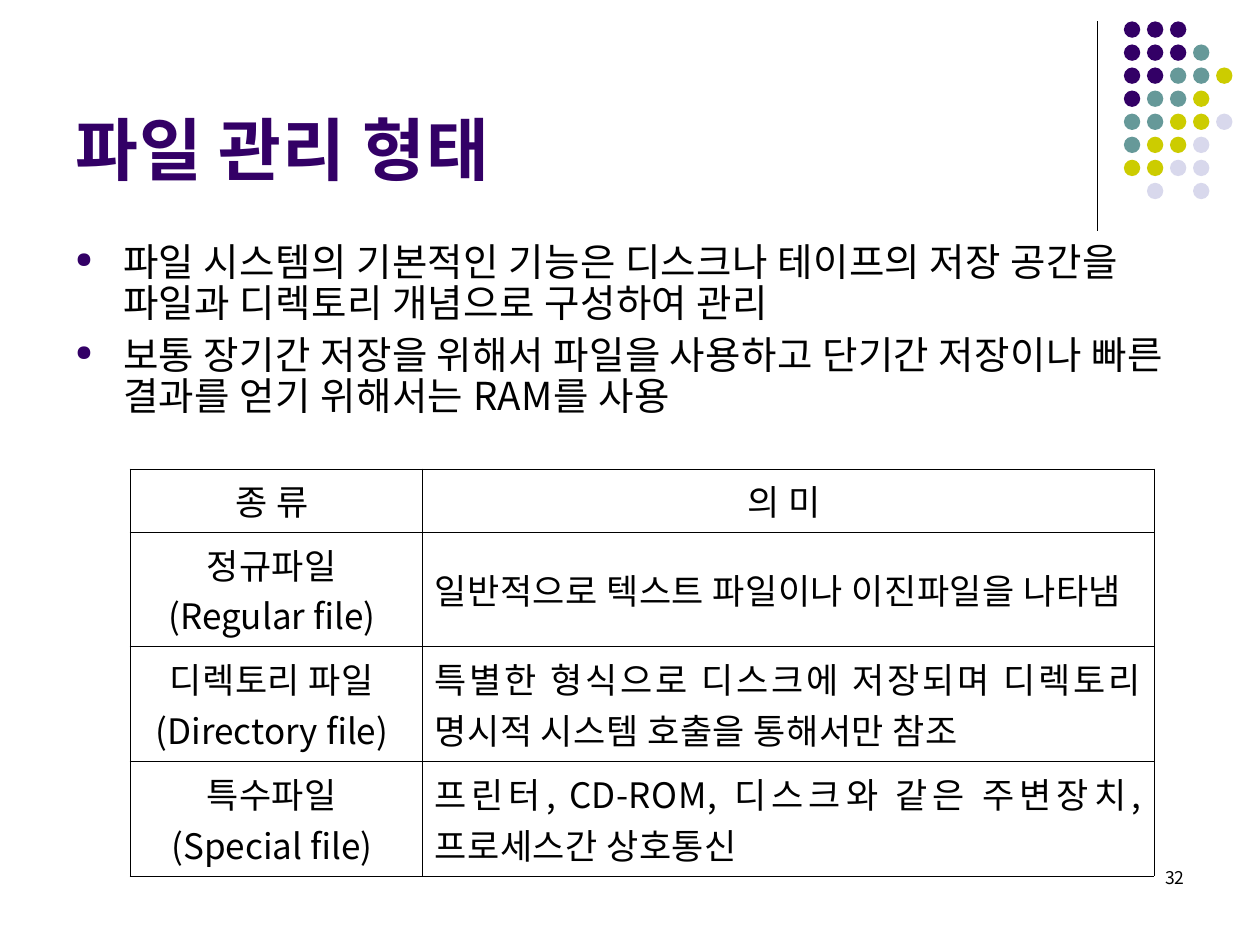
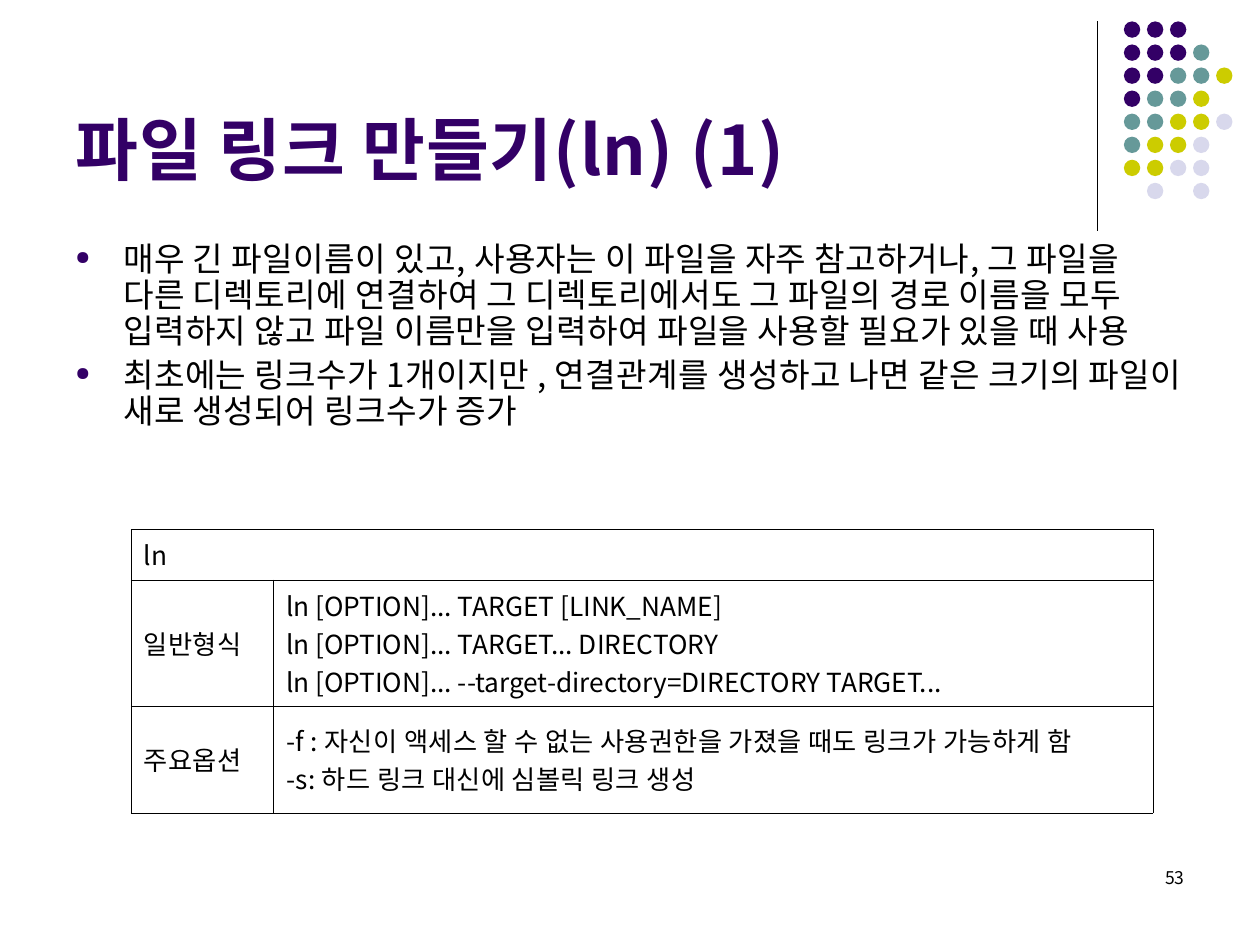
from dataclasses import dataclass

from lxml import etree
from pptx import Presentation
from pptx.dml.color import RGBColor
from pptx.enum.shapes import MSO_CONNECTOR, MSO_SHAPE
from pptx.enum.text import MSO_ANCHOR, PP_ALIGN
from pptx.oxml.ns import qn
from pptx.util import Inches, Pt

LEFT, CENTER, RIGHT, JUSTIFY = PP_ALIGN.LEFT, PP_ALIGN.CENTER, PP_ALIGN.RIGHT, PP_ALIGN.JUSTIFY
TOP, MIDDLE, BOTTOM = MSO_ANCHOR.TOP, MSO_ANCHOR.MIDDLE, MSO_ANCHOR.BOTTOM


@dataclass(frozen=True)
class Theme:
    font: str = "Noto Sans CJK KR"
    bullet_font: str = "OpenSymbol"
    purple: str = "330066"
    teal: str = "669999"
    lime: str = "CCCC00"
    lavender: str = "D8D8EC"
    text: str = "000000"
    title_size: float = 39
    number_size: float = 10
    bullet_percent: int = 57
    body_line_spacing: float = 0.9
    hangul_tracking: float = 1.3  # hundredths of a point per point of type size
    rule_width: float = 0.75
    border_width: float = 0.1


THEME = Theme()

# One letter per dot: purple, teal, lime (y), lavender; a dot mark leaves the place empty.
DOT_ROWS = ["ppp", "pppt", "pptty", "ptty", "ttyyl", "tyyl", "yyll", ".l.l"]
DOT_COLORS = {"p": THEME.purple, "t": THEME.teal, "y": THEME.lime, "l": THEME.lavender}
DOT_LEFT, DOT_TOP, DOT_SIZE, DOT_PITCH = 8.92, 0.17, 0.13, 0.183

SLIDES = [
    {
        "title": "파일 관리 형태",
        "number": "32",
        "body_size": 22,
        "space_before": 5.5,
        "bullets": [
            "파일 시스템의 기본적인 기능은 디스크나 테이프의 저장 공간을 파일과 디렉토리 개념으로 구성하여 관리",
            "보통 장기간 저장을 위해서 파일을 사용하고 단기간 저장이나 빠른 결과를 얻기 위해서는 RAM를 사용",
        ],
        "table": {
            "position": (1.03, 3.72),
            "columns": [2.32, 5.81],
            "row_heights": [0.5, 0.91, 0.91, 0.91],
            "size": 20,
            "header_align": CENTER,
            "column_aligns": [CENTER, JUSTIFY],
            "rows": [
                ("종 류 ", "의 미 "),
                ("정규파일 \n(Regular file) ", "일반적으로 텍스트 파일이나 이진파일을 나타냄 "),
                ("디렉토리 파일 \n(Directory file) ",
                 "특별한 형식으로 디스크에 저장되며 디렉토리 명시적 시스템 호출을 통해서만 참조 "),
                ("특수파일 \n(Special file) ",
                 "프린터, CD-ROM, 디스크와 같은 주변장치, 프로세스간 상호통신 "),
            ],
        },
    },
    {
        "title": "파일 링크 만들기(ln) (1)",
        "number": "53",
        "body_size": 19,
        "space_before": 4.8,
        "bullets": [
            "매우 긴 파일이름이 있고, 사용자는 이 파일을 자주 참고하거나, 그 파일을 다른 디렉토리에 "
            "연결하여 그 디렉토리에서도 그 파일의 경로 이름을 모두 입력하지 않고 파일 이름만을 입력하여 "
            "파일을 사용할 필요가 있을 때 사용",
            "최초에는 링크수가 1개이지만 , 연결관계를 생성하고 나면 같은 크기의 파일이 새로 생성되어 링크수가 증가",
        ],
        "table": {
            "position": (1.04, 4.2),
            "columns": [1.13, 6.98],
            "row_heights": [0.4, 1, 0.85],
            "size": 15,
            "header_align": LEFT,
            "column_aligns": [LEFT, LEFT],
            "rows": [
                ("ln",),
                ("일반형식",
                 "ln [OPTION]... TARGET [LINK_NAME]\n"
                 "ln [OPTION]... TARGET... DIRECTORY\n"
                 "ln [OPTION]... --target-directory=DIRECTORY TARGET..."),
                ("주요옵션",
                 "-f : 자신이 액세스 할 수 없는 사용권한을 가졌을 때도 링크가 가능하게 함\n"
                 "-s: 하드 링크 대신에 심볼릭 링크 생성"),
            ],
        },
    },
]


def add_element(parent, tag, **attributes):
    return etree.SubElement(parent, qn(tag), attributes)


def has_hangul(text):
    return any("가" <= letter <= "힣" for letter in text)


def write_text(text_frame, text, size, color=THEME.text, bold=False, align=LEFT):
    text_frame.text = text
    for paragraph in text_frame.paragraphs:
        paragraph.alignment = align
        for run in paragraph.runs:
            run.font.size = Pt(size)
            run.font.bold = bold
            run.font.color.rgb = RGBColor.from_string(color)
            run.font.name = THEME.font
            add_element(run.font._element, "a:ea", typeface=THEME.font)
            if has_hangul(run.text):
                run.font._element.set("spc", str(round(size * THEME.hangul_tracking)))


def add_text(slide, box, text, size, anchor=TOP, **style):
    text_frame = slide.shapes.add_textbox(*map(Inches, box)).text_frame
    text_frame.word_wrap = True
    text_frame.vertical_anchor = anchor
    write_text(text_frame, text, size, **style)
    return text_frame


def add_corner_decoration(slide):
    rule = slide.shapes.add_connector(
        MSO_CONNECTOR.STRAIGHT, Inches(8.71), Inches(0.17), Inches(8.71), Inches(1.83))
    rule.line.color.rgb = RGBColor.from_string(THEME.text)
    rule.line.width = Pt(THEME.rule_width)
    add_element(rule._element.spPr, "a:effectLst")
    group = slide.shapes.add_group_shape()
    for row, letters in enumerate(DOT_ROWS):
        for column, letter in enumerate(letters):
            if letter not in DOT_COLORS:
                continue
            dot = group.shapes.add_shape(
                MSO_SHAPE.OVAL, Inches(DOT_LEFT + column * DOT_PITCH),
                Inches(DOT_TOP + row * DOT_PITCH), Inches(DOT_SIZE), Inches(DOT_SIZE))
            dot.shadow.inherit = False
            dot.fill.solid()
            dot.fill.fore_color.rgb = RGBColor.from_string(DOT_COLORS[letter])
            dot.line.fill.background()


def add_bullets(slide, bullets, size, space_before):
    text_frame = add_text(slide, (0.5, 1.88, 9, 4.82), "\n".join(bullets), size)
    for index, paragraph in enumerate(text_frame.paragraphs):
        paragraph.line_spacing = THEME.body_line_spacing
        if index:
            paragraph.space_before = Pt(space_before)
        properties = paragraph._p.get_or_add_pPr()
        properties.set("marL", str(Inches(0.38)))
        properties.set("indent", str(-Inches(0.38)))
        add_element(add_element(properties, "a:buClr"), "a:srgbClr", val=THEME.purple)
        add_element(properties, "a:buSzPct", val=str(THEME.bullet_percent * 1000))
        add_element(properties, "a:buFont", typeface=THEME.bullet_font)
        add_element(properties, "a:buChar", char="●")


def style_cell(cell):
    """Draw thin borders on all sides and leave the cell unfilled."""
    properties = cell._tc.get_or_add_tcPr()
    for side in ("a:lnL", "a:lnR", "a:lnT", "a:lnB"):
        line = add_element(properties, side, w=str(Pt(THEME.border_width)))
        add_element(add_element(line, "a:solidFill"), "a:srgbClr", val=THEME.text)
    cell.fill.background()
    cell.vertical_anchor = MIDDLE
    cell.margin_left = cell.margin_right = Inches(0.1)
    cell.margin_top = cell.margin_bottom = Inches(0.05)


def add_grid(slide, content):
    columns, heights = content["columns"], content["row_heights"]
    box = (*content["position"], sum(columns), sum(heights))
    table = slide.shapes.add_table(len(heights), len(columns), *map(Inches, box)).table
    table.first_row = table.horz_banding = False
    for column, width in zip(table.columns, columns):
        column.width = Inches(width)
    for row, height in zip(table.rows, heights):
        row.height = Inches(height)
    for cell in table.iter_cells():
        style_cell(cell)
    for row_index, texts in enumerate(content["rows"]):
        if len(texts) < len(columns):
            table.cell(row_index, 0).merge(table.cell(row_index, len(columns) - 1))
        for column_index, text in enumerate(texts):
            align = content["column_aligns"][column_index] if row_index else content["header_align"]
            write_text(table.cell(row_index, column_index).text_frame, text,
                       content["size"], align=align)


def build_slide(presentation, content):
    slide = presentation.slides.add_slide(presentation.slide_layouts[6])
    add_corner_decoration(slide)
    add_text(slide, (7.17, 6.83, 2.33, 0.5), content["number"], THEME.number_size, align=RIGHT)
    add_text(slide, (0.5, 0.13, 8.25, 1.42), content["title"], THEME.title_size,
             anchor=BOTTOM, color=THEME.purple, bold=True)
    add_bullets(slide, content["bullets"], content["body_size"], content["space_before"])
    add_grid(slide, content["table"])


def main():
    presentation = Presentation()
    presentation.slide_width, presentation.slide_height = Inches(10), Inches(7.5)
    for content in SLIDES:
        build_slide(presentation, content)
    presentation.save("out.pptx")


if __name__ == "__main__":
    main()
